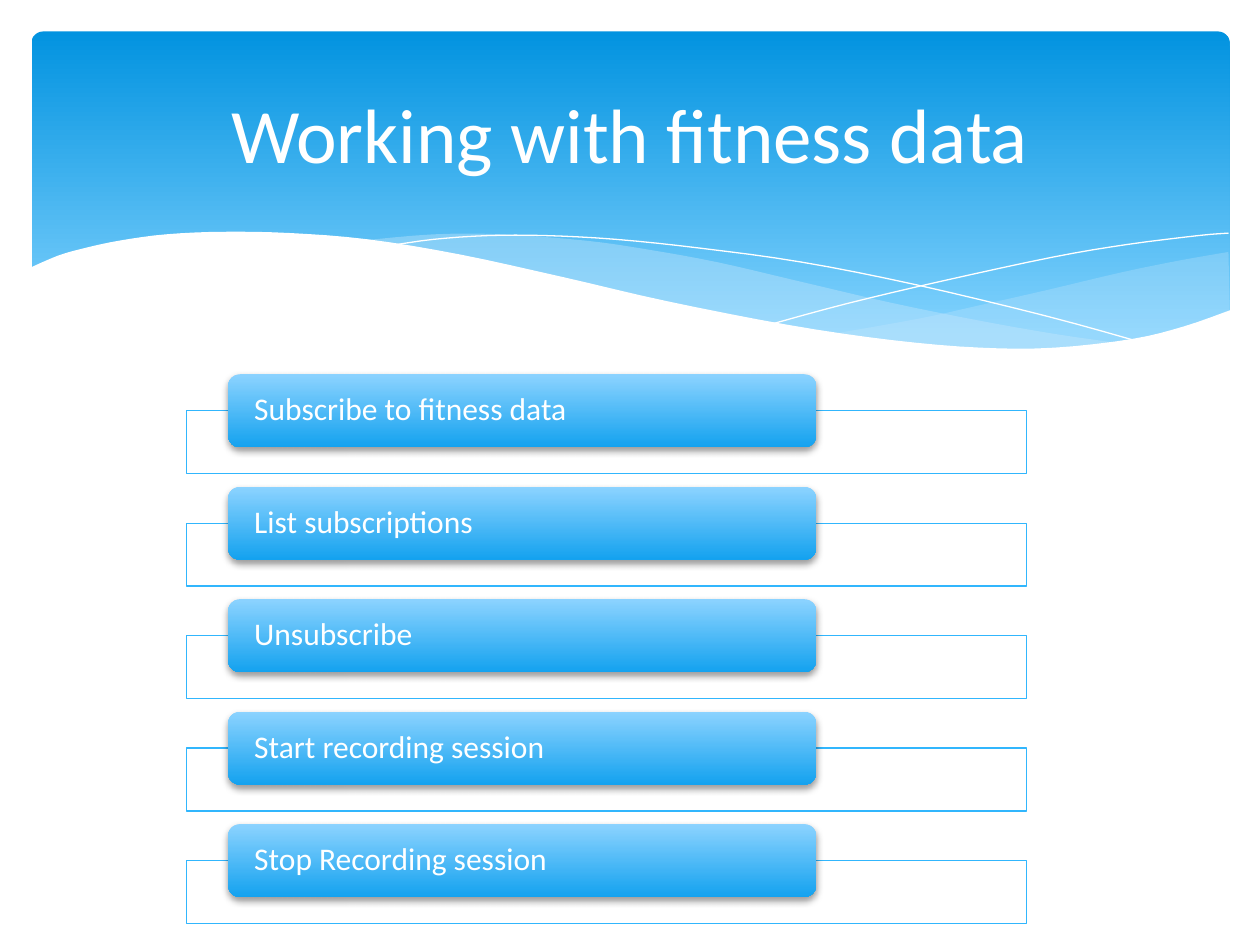
from dataclasses import dataclass
from itertools import pairwise

from lxml import etree
from pptx import Presentation
from pptx.dml.color import RGBColor
from pptx.enum.shapes import MSO_SHAPE
from pptx.enum.text import MSO_ANCHOR, PP_ALIGN
from pptx.oxml.ns import qn
from pptx.util import Pt

RECTANGLE = MSO_SHAPE.RECTANGLE
ROUNDED = MSO_SHAPE.ROUNDED_RECTANGLE
MIDDLE = MSO_ANCHOR.MIDDLE
LEFT, CENTER = PP_ALIGN.LEFT, PP_ALIGN.CENTER
EMU_PER_PX = 9144
CURVE_STEPS = 4


@dataclass(frozen=True)
class Theme:
    font: str = "Calibri"
    title_size: int = 44
    label_size: int = 18
    white: str = "FFFFFF"
    wave: str = "C6E7FC"
    outline: str = "31B6FD"
    shadow: str = "000000"
    band: tuple = ((0, "0293E0"), (0.9, "83D3FE"))
    pill: tuple = ((0, "8CD3FF"), (1, "14A2EF"))


THEME = Theme()

LABELS = [
    "Subscribe to fitness data",
    "List subscriptions",
    "Unsubscribe",
    "Start recording session",
    "Stop Recording session",
]

RIGHT_WAVE = [
    [(950, 175), (910, 182), (866, 191), (807, 205), (754, 217), (704, 228), (636, 240)],
    [(636, 240), (666, 244), (707, 249), (756, 252), (799, 252), (838, 250),
     (872, 245), (903, 238), (924, 232), (951, 222)],
]
LEFT_WAVE = [
    [(868, 248), (812, 240), (750, 229), (681, 215), (604, 197), (544, 183),
     (489, 173), (440, 166), (374, 161), (319, 161), (261, 166)],
    [(261, 166), (317, 174), (379, 186), (424, 197), (505, 215), (576, 230),
     (640, 241), (697, 249), (748, 252), (803, 253), (842, 251), (868, 248)],
]
FALLING_LINE = [
    [(284, 170), (319, 165), (362, 162), (408, 162), (464, 165), (531, 172),
     (611, 183), (702, 201), (806, 226), (882, 247)],
]
RISING_LINE = [
    [(588, 232), (647, 216), (723, 198), (811, 179), (870, 169), (926, 162), (950, 160)],
]
FRONT_WAVE = [
    [(952, 221), (915, 234), (874, 244), (812, 251), (753, 251), (683, 245),
     (601, 233), (504, 214), (422, 195), (340, 177), (267, 165), (205, 160),
     (152, 159), (107, 161), (70, 166), (42, 172), (21, 178), (-2, 188)],
    [(-2, 304), (952, 304)],
]


def px(value):
    return round(value * EMU_PER_PX)


def rgb(color):
    return RGBColor.from_string(color)


def solid_fill(shape, color, opacity=100):
    shape.fill.solid()
    shape.fill.fore_color.rgb = rgb(color)
    if opacity < 100:
        color_element = shape._element.spPr.find(qn("a:solidFill"))[0]
        etree.SubElement(color_element, qn("a:alpha"), val=str(opacity * 1000))


def gradient_fill(shape, stops):
    shape.fill.gradient()
    shape.fill.gradient_angle = 270
    for stop, (position, color) in zip(shape.fill.gradient_stops, stops):
        stop.position = position
        stop.color.rgb = rgb(color)


def add_drop_shadow(shape):
    effects = shape._element.spPr.find(qn("a:effectLst"))
    shadow = etree.SubElement(effects, qn("a:outerShdw"), blurRad=str(Pt(4)),
                              dist=str(Pt(2)), dir="5400000", rotWithShape="0")
    color = etree.SubElement(shadow, qn("a:srgbClr"), val=THEME.shadow)
    etree.SubElement(color, qn("a:alpha"), val="38000")


def add_box(slide, kind, left, top, width, height):
    shape = slide.shapes.add_shape(kind, px(left), px(top), px(width), px(height))
    shape.shadow.inherit = False
    shape.line.fill.background()
    return shape


def write_text(shape, text, size, alignment):
    frame = shape.text_frame
    frame.word_wrap = True
    frame.vertical_anchor = MIDDLE
    paragraph = frame.paragraphs[0]
    paragraph.text = text
    paragraph.alignment = alignment
    paragraph.font.name = THEME.font
    paragraph.font.size = Pt(size)
    paragraph.font.color.rgb = rgb(THEME.white)
    return paragraph


def smooth(knots):
    points = [knots[0]]
    padded = [knots[0], *knots, knots[-1]]
    for index, (start, end) in enumerate(pairwise(knots)):
        before, after = padded[index], padded[index + 3]
        for step in range(1, CURVE_STEPS + 1):
            t = step / CURVE_STEPS
            points.append(tuple(
                (2 * b + (c - a) * t + (2 * a - 5 * b + 4 * c - d) * t ** 2
                 + (3 * b - a - 3 * c + d) * t ** 3) / 2
                for a, b, c, d in zip(before, start, end, after)))
    return points


def add_curve(slide, left, top, curves, closed):
    points = [(px(left + x), px(top + y)) for curve in curves for x, y in smooth(curve)]
    builder = slide.shapes.build_freeform(*points[0])
    builder.add_line_segments(points[1:], close=closed)
    shape = builder.convert_to_shape()
    shape.shadow.inherit = False
    return shape


def add_wave(slide, left, top, curves, color, opacity=100):
    shape = add_curve(slide, left, top, curves, True)
    solid_fill(shape, color, opacity)
    shape.line.fill.background()


def add_hairline(slide, left, top, curves):
    shape = add_curve(slide, left, top, curves, False)
    shape.fill.background()
    shape.line.color.rgb = rgb(THEME.white)
    shape.line.width = 0


def add_header(slide, left, top, width, height):
    band = add_box(slide, ROUNDED, left, top, width, height)
    band.adjustments[0] = 0.034
    gradient_fill(band, THEME.band)
    add_wave(slide, left, top, RIGHT_WAVE, THEME.wave, 29)
    add_wave(slide, left, top, LEFT_WAVE, THEME.wave, 40)
    add_hairline(slide, left, top, FALLING_LINE)
    add_hairline(slide, left, top, RISING_LINE)
    add_wave(slide, left, top, FRONT_WAVE, THEME.white)
    title = slide.shapes.add_textbox(px(left + 25), px(top + 12), px(width - 51), px(137))
    write_text(title, "Working with fitness data", THEME.title_size, CENTER)


def add_row(slide, left, top, width, height, label):
    frame = add_box(slide, RECTANGLE, left, top + 29, width, height - 29)
    solid_fill(frame, THEME.white, 90)
    frame.line.color.rgb = rgb(THEME.outline)
    frame.line.width = Pt(0.75)
    pill = add_box(slide, ROUNDED, left + 33, top, width * 0.7, 58)
    gradient_fill(pill, THEME.pill)
    add_drop_shadow(pill)
    paragraph = write_text(pill, label, THEME.label_size, LEFT)
    paragraph.line_spacing = 0.9
    pill.text_frame.margin_left = pill.text_frame.margin_right = px(18)
    pill.text_frame.margin_top = pill.text_frame.margin_bottom = 0


def add_list(slide, left, top, width, height, labels):
    row_height = 79
    pitch = (height - row_height) / (len(labels) - 1)
    for index, label in enumerate(labels):
        add_row(slide, left, top + index * pitch, width, row_height, label)


def main():
    presentation = Presentation()
    presentation.slide_width = px(1000)
    presentation.slide_height = px(750)
    slide = presentation.slides.add_slide(presentation.slide_layouts[6])
    add_header(slide, 25, 25, 951, 270)
    add_list(slide, 148, 297, 667, 436, LABELS)
    presentation.save("out.pptx")


if __name__ == "__main__":
    main()
